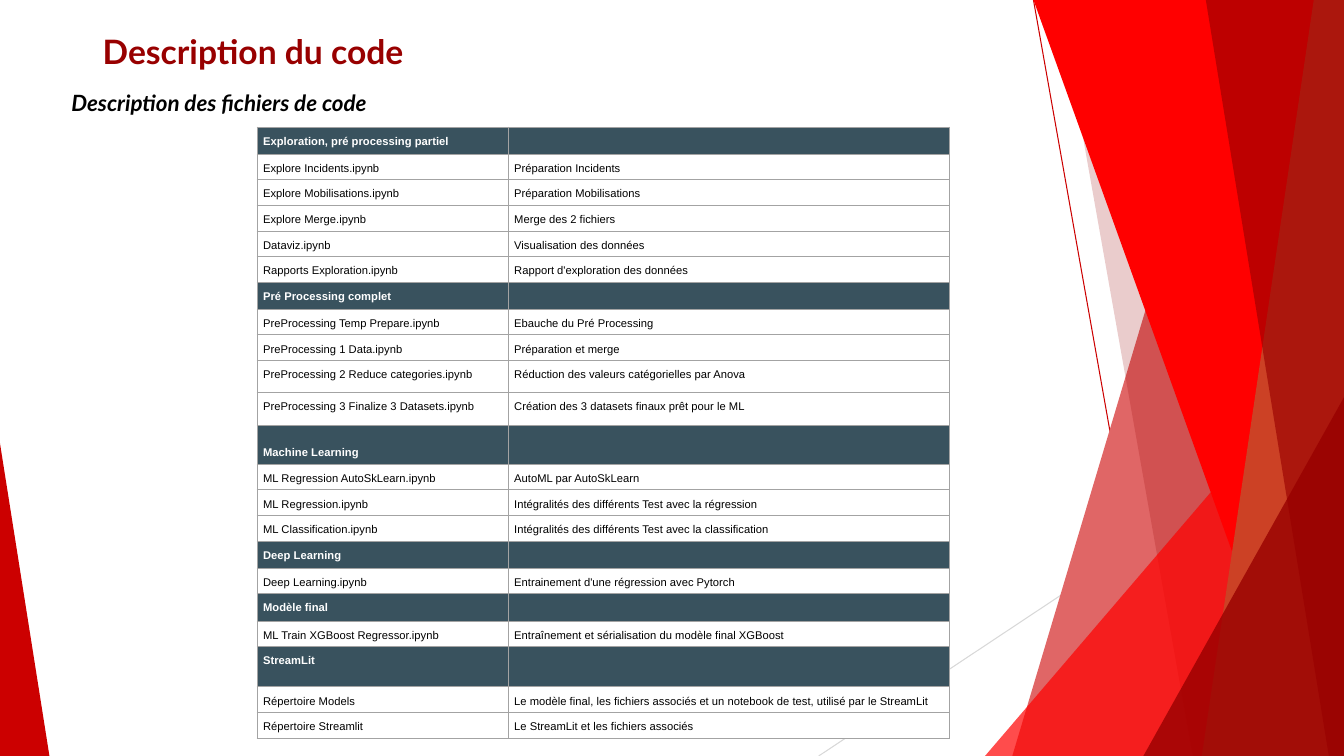
from lxml.etree import SubElement
from pptx import Presentation
from pptx.dml.color import RGBColor
from pptx.enum.shapes import MSO_CONNECTOR, MSO_SHAPE
from pptx.enum.text import MSO_ANCHOR, PP_ALIGN
from pptx.oxml.ns import qn
from pptx.util import Inches, Pt

COLORS = {
    "white": "FFFFFF", "black": "000000", "maroon": "980000", "crimson": "CC0000",
    "red": "FF0000", "rose": "E06666", "rust": "CC4125", "pale": "D8D8D8",
    "slate": "39525E", "border": "A3A3A3",
}
W, H = 13.33, 7.5

TITLE = "Description du code"
SUBTITLE = "Description des fichiers de code"

# Section, height of its row, space above its name, files: (name, description)
SECTIONS = [
    ("Exploration, pré processing partiel", 0.27, 0.06, [
        ("Explore Incidents.ipynb", "Préparation Incidents"),
        ("Explore Mobilisations.ipynb", "Préparation Mobilisations"),
        ("Explore Merge.ipynb", "Merge des 2 fichiers"),
        ("Dataviz.ipynb", "Visualisation des données"),
        ("Rapports Exploration.ipynb", "Rapport d'exploration des données"),
    ]),
    ("Pré Processing complet", 0.27, 0.06, [
        ("PreProcessing Temp Prepare.ipynb", "Ebauche du Pré Processing"),
        ("PreProcessing 1 Data.ipynb", "Préparation et merge"),
        ("PreProcessing 2 Reduce categories.ipynb",
         "Réduction des valeurs catégorielles par Anova"),
        ("PreProcessing 3 Finalize 3 Datasets.ipynb",
         "Création des 3 datasets finaux prêt pour le ML"),
    ]),
    ("Machine Learning", 0.39, 0.19, [
        ("ML Regression AutoSkLearn.ipynb", "AutoML par AutoSkLearn"),
        ("ML Regression.ipynb", "Intégralités des différents Test avec la régression"),
        ("ML Classification.ipynb",
         "Intégralités des différents Test avec la classification"),
    ]),
    ("Deep Learning", 0.27, 0.06, [
        ("Deep Learning.ipynb", "Entrainement d'une régression avec Pytorch"),
    ]),
    ("Modèle final", 0.27, 0.06, [
        ("ML Train XGBoost Regressor.ipynb",
         "Entraînement et sérialisation du modèle final XGBoost"),
    ]),
    ("StreamLit", 0.4, 0.06, [
        ("Répertoire Models",
         "Le modèle final, les fichiers associés et un notebook de test, "
         "utilisé par le StreamLit"),
        ("Répertoire Streamlit", "Le StreamLit et les fichiers associés"),
    ]),
]
TALL_HEIGHT = 0.32
TALL_FILES = {"PreProcessing 2 Reduce categories.ipynb",
              "PreProcessing 3 Finalize 3 Datasets.ipynb"}
TABLE_LEFT, TABLE_TOP, TABLE_HEIGHT = 2.55, 1.26, 6.07
COLUMNS = [2.49, 4.38]

# Start, end, colour
LINES = [((10.25, 0), (11.58, H), "crimson"), ((W, 4.04), (8.12, H), "pale")]
# Kind, geometry, colour, opacity in percent.
# A band runs from (top x, bottom x) to the right edge of the slide;
# a triangle has left, top, width and the position of its apex.
FACETS = [
    ("band", (12.28, 10.04), "rose", 100),
    ("band", (10.5, 11.83), "maroon", 20),
    ("triangle", (9.77, 3.34, 3.56, 1), "red", 70),
    ("band", (10.25, 12.95), "red", 100),
    ("band", (13.03, 11.92), "rust", 100),
    ("band", (11.96, 13.18), "maroon", 63),
    ("triangle", (11.34, 3.94, 1.99, 1), "maroon", 80),
    ("triangle", (0, 4.4, 0.49, 0), "crimson", 100),
]


def rgb(name):
    return RGBColor.from_string(COLORS[name])


def write(tf, text, size, color, font="Lato", bold=True, italic=False,
          spacing=1.15, align=PP_ALIGN.LEFT):
    tf.word_wrap = True
    p = tf.paragraphs[0]
    p.alignment, p.line_spacing = align, spacing
    p.font.size = Pt(size)
    if text:
        r = p.add_run()
        r.text = text
        f = r.font
        f.name, f.size, f.bold, f.italic = font, Pt(size), bold, italic
        f.color.rgb = rgb(color)


def add_line(slide, start, end, color):
    ends = [Inches(v) for v in (*start, *end)]
    line = slide.shapes.add_connector(MSO_CONNECTOR.STRAIGHT, *ends)
    line.line.color.rgb = rgb(color)
    line.line.width = Pt(0.75)
    SubElement(line._element.spPr, qn("a:effectLst"))


def add_facet(slide, kind, geometry, color, opacity):
    if kind == "band":
        top_x, bottom_x = geometry
        outline = [(top_x, 0), (W, 0), (W, H), (bottom_x, H)]
        points = [(Inches(x), Inches(y)) for x, y in outline]
        builder = slide.shapes.build_freeform(*points[0])
        builder.add_line_segments(points[1:], close=True)
        sp = builder.convert_to_shape()
    else:
        left, top, width, apex = geometry
        sp = slide.shapes.add_shape(
            MSO_SHAPE.ISOSCELES_TRIANGLE, Inches(left), Inches(top),
            Inches(width), Inches(H - top))
        sp.adjustments[0] = apex
    sp.shadow.inherit = False
    sp.line.fill.background()
    sp.fill.solid()
    sp.fill.fore_color.rgb = rgb(color)
    if opacity < 100:
        clr = sp._element.spPr.find(qn("a:solidFill")).find(qn("a:srgbClr"))
        SubElement(clr, qn("a:alpha"), val=str(opacity * 1000))


def add_text(slide, box, text, size, color, anchor=MSO_ANCHOR.TOP, **fmt):
    tf = slide.shapes.add_textbox(*[Inches(v) for v in box]).text_frame
    tf.vertical_anchor = anchor
    write(tf, text, size, color, **fmt)


def format_cell(cell, text, fill, color, bold, space_above):
    cell.margin_left = cell.margin_right = Inches(0.06)
    cell.margin_top, cell.margin_bottom = Inches(space_above), Inches(0.03)
    cell.vertical_anchor = MSO_ANCHOR.TOP
    write(cell.text_frame, text, 8, color, font="Arial", bold=bold)
    tcPr = cell._tc.get_or_add_tcPr()
    for side in ("lnL", "lnR", "lnT", "lnB"):
        ln = SubElement(tcPr, qn(f"a:{side}"), w=str(Pt(0.75)))
        SubElement(SubElement(ln, qn("a:solidFill")), qn("a:srgbClr"),
                   val=COLORS["border"])
    cell.fill.solid()
    cell.fill.fore_color.rgb = rgb(fill)


def add_file_table(slide):
    """Add the table; ordinary file rows share the height the others leave."""
    rows = []
    for section, height, space_above, files in SECTIONS:
        rows.append(((section, ""), height, ("slate", "white", True, space_above)))
        for file in files:
            height = TALL_HEIGHT if file[0] in TALL_FILES else None
            rows.append((file, height, ("white", "black", False, 0.06)))
    fixed = [height for _, height, _ in rows if height]
    file_height = (TABLE_HEIGHT - sum(fixed)) / (len(rows) - len(fixed))
    table = slide.shapes.add_table(
        len(rows), len(COLUMNS), Inches(TABLE_LEFT), Inches(TABLE_TOP),
        Inches(sum(COLUMNS)), Inches(TABLE_HEIGHT)).table
    table.first_row = table.horz_banding = False
    for column, width in zip(table.columns, COLUMNS):
        column.width = Inches(width)
    for row, (texts, height, look) in zip(table.rows, rows):
        row.height = Inches(height or file_height)
        for cell, text in zip(row.cells, texts):
            format_cell(cell, text, *look)


def main():
    prs = Presentation()
    prs.slide_width, prs.slide_height = Inches(W), Inches(H)
    slide = prs.slides.add_slide(prs.slide_layouts[6])
    for line in LINES:
        add_line(slide, *line)
    for facet in FACETS:
        add_facet(slide, *facet)
    add_text(slide, (0.92, 0, 11.5, 1.07), TITLE, 24, "maroon",
             anchor=MSO_ANCHOR.MIDDLE, spacing=0.9)
    add_text(slide, (0.61, 0.8, 9.74, 6.7), SUBTITLE, 16, "black",
             italic=True, align=PP_ALIGN.JUSTIFY)
    add_file_table(slide)
    prs.save("out.pptx")


if __name__ == "__main__":
    main()
